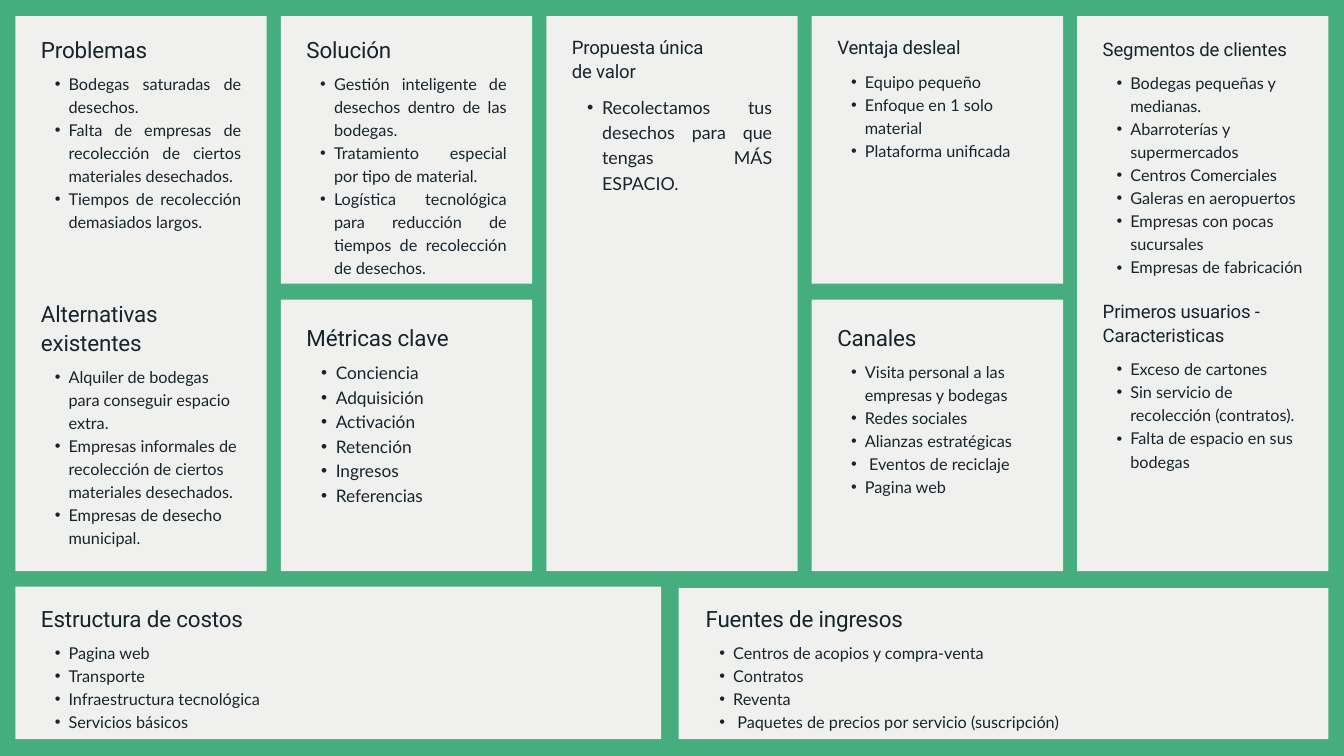
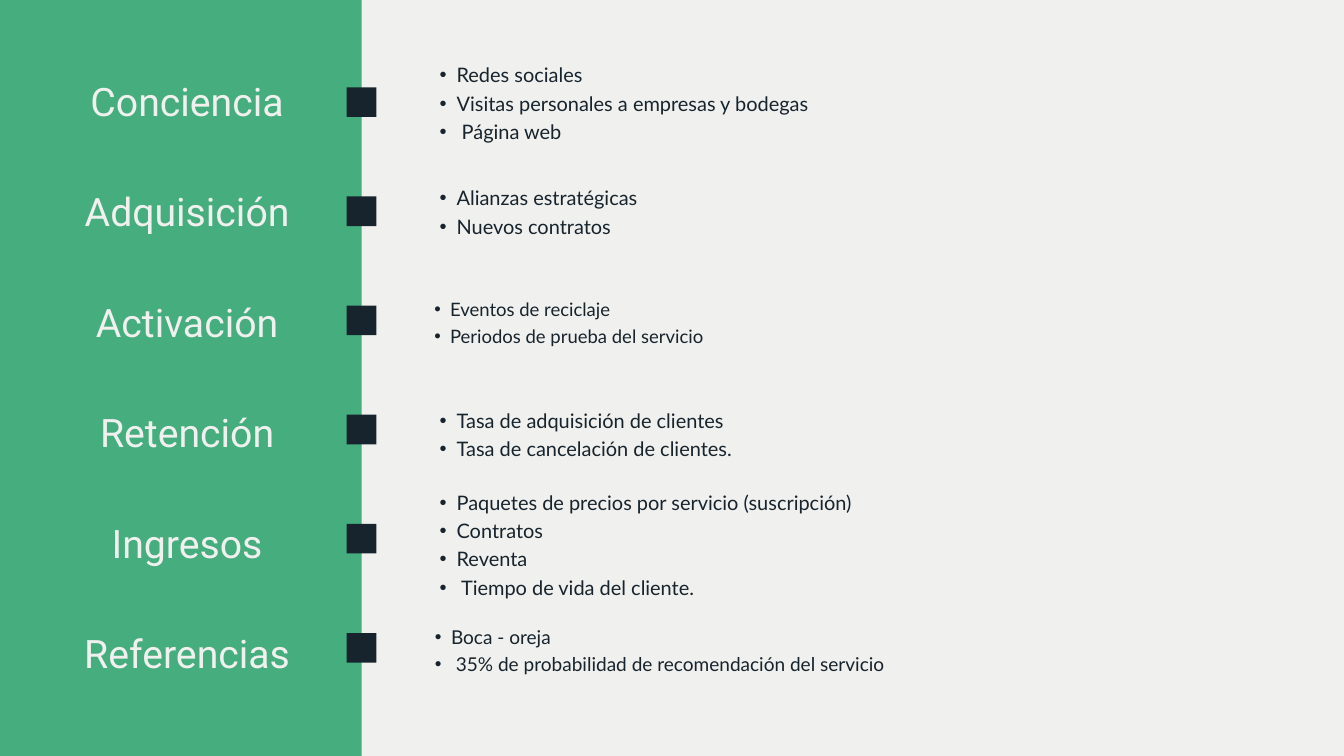
from dataclasses import dataclass

from lxml.etree import SubElement
from pptx import Presentation
from pptx.dml.color import RGBColor
from pptx.enum.shapes import MSO_SHAPE
from pptx.enum.text import MSO_AUTO_SIZE, PP_ALIGN
from pptx.oxml.ns import qn
from pptx.util import Inches, Pt


@dataclass(frozen=True)
class Theme:
    green: RGBColor = RGBColor(0x45, 0xAD, 0x7E)
    paper: RGBColor = RGBColor(0xF0, 0xF0, 0xEE)
    ink: RGBColor = RGBColor(0x17, 0x24, 0x2D)
    heading_font: str = "Roboto"
    body_font: str = "Lato"
    heading: float = 24
    small_heading: float = 19.9
    body: float = 17.4
    stage: float = 42
    stage_body: float = 21.4
    heading_pitch: float = 1.3
    body_pitch: float = 1.42
    stage_pitch: float = 1.2


THEME = Theme()


@dataclass(frozen=True)
class Section:
    top: float  # distance below the panel's top edge
    heading: tuple
    bullets: tuple
    heading_lines: int = 1
    body_lines: int = 4
    heading_size: float = THEME.heading
    body_size: float = THEME.body
    align: PP_ALIGN = PP_ALIGN.LEFT


# Shared building blocks
def set_background(slide, color):
    slide.background.fill.solid()
    slide.background.fill.fore_color.rgb = color


def add_block(slide, box, color):
    shape = slide.shapes.add_shape(MSO_SHAPE.RECTANGLE, *map(Inches, box))
    shape.shadow.inherit = False
    shape.fill.solid()
    shape.fill.fore_color.rgb = color
    shape.line.fill.background()


def add_bullet(paragraph, size):
    paragraph.level = 1
    hanging = Inches(size * 0.0236)
    properties = paragraph._p.get_or_add_pPr()
    properties.set("marL", str(hanging))
    properties.set("indent", str(-hanging // 2))
    SubElement(properties, qn("a:buFont")).set("typeface", "Arial")
    SubElement(properties, qn("a:buChar")).set("char", "•")


def add_text(slide, box, lines, font, size, pitch, color=THEME.ink,
             align=PP_ALIGN.LEFT, bulleted=False, tracking=0):
    text_frame = slide.shapes.add_textbox(*map(Inches, box)).text_frame
    text_frame.word_wrap = True
    text_frame.auto_size = MSO_AUTO_SIZE.SHAPE_TO_FIT_TEXT
    text_frame.margin_left = text_frame.margin_right = 0
    text_frame.margin_top = text_frame.margin_bottom = 0
    text_frame.text = "\n".join(lines)
    for paragraph in text_frame.paragraphs:
        if bulleted:
            add_bullet(paragraph, size)
        paragraph.alignment = align
        paragraph.line_spacing = Pt(round(size * pitch, 1))
        for run in paragraph.runs:
            run.font.name = font
            run.font.size = Pt(size)
            run.font.color.rgb = color
            if tracking:
                run._r.get_or_add_rPr().set("spc", str(tracking))


def add_bullets(slide, box, lines, size, align=PP_ALIGN.LEFT):
    add_text(slide, box, lines, THEME.body_font, size, THEME.body_pitch,
             align=align, bulleted=True)


# Canvas slide
def add_panel(slide, box, sections, inset=0.38):
    left, top, width, _ = box
    add_block(slide, box, THEME.paper)
    text_left, text_width = left + inset, width - 2 * inset
    for section in sections:
        heading_top = top + section.top
        heading_height = (section.heading_lines * section.heading_size
                          * THEME.heading_pitch / 72)
        gap = 0.11 if section.heading_size == THEME.heading else 0.15
        body_height = section.body_lines * section.body_size * THEME.body_pitch / 72
        add_text(slide, (text_left, heading_top, text_width, heading_height),
                 section.heading, THEME.heading_font, section.heading_size,
                 THEME.heading_pitch, tracking=-20)
        add_bullets(slide, (text_left, heading_top + heading_height + gap,
                            text_width, body_height),
                    section.bullets, section.body_size, section.align)


def build_canvas(slide):
    set_background(slide, THEME.green)
    columns = [0.23 + 3.95 * index for index in range(5)]
    width, top, middle = 3.74, 0.24, 4.46
    full, upper, lower = 8.26, 3.98, 4.04
    small, justify = THEME.small_heading, PP_ALIGN.JUSTIFY

    add_panel(slide, (columns[0], top, width, full), [
        Section(0.27, ("Problemas",), (
            "Bodegas saturadas de desechos.",
            "Falta de empresas de recolección de ciertos materiales desechados.",
            "Tiempos de recolección demasiados largos."),
            body_lines=7, align=justify),
        Section(4.19, ("Alternativas existentes",), (
            "Alquiler de bodegas para conseguir espacio extra.",
            "Empresas informales de recolección de ciertos materiales desechados.",
            "Empresas de desecho municipal."),
            heading_lines=2, body_lines=8)])
    add_panel(slide, (columns[1], top, width, upper), [
        Section(0.27, ("Solución",), (
            "Gestión inteligente de desechos dentro de las bodegas.",
            "Tratamiento especial por tipo de material.",
            "Logística tecnológica para reducción de tiempos de recolección de desechos."),
            body_lines=9, align=justify)])
    add_panel(slide, (columns[1], middle, width, lower), [
        Section(0.33, ("Métricas clave",), STAGES, body_lines=6, body_size=18.5)])
    add_panel(slide, (columns[2], top, width, full), [
        Section(0.27, ("Propuesta única", "de valor"), (
            "Recolectamos tus desechos para que tengas MÁS ESPACIO.",),
            heading_lines=2, heading_size=small, body_size=19.1, align=justify)])
    add_panel(slide, (columns[3], top, width, upper), [
        Section(0.27, ("Ventaja desleal",), (
            "Equipo pequeño", "Enfoque en 1 solo material", "Plataforma unificada"),
            heading_size=small)])
    add_panel(slide, (columns[3], middle, width, lower), [
        Section(0.33, ("Canales",), (
            "Visita personal a las empresas y bodegas", "Redes sociales",
            "Alianzas estratégicas", " Eventos de reciclaje", "Pagina web"),
            body_lines=6)])
    add_panel(slide, (columns[4], top, width, full), [
        Section(0.29, ("Segmentos de clientes",), (
            "Bodegas pequeñas y medianas.", "Abarroterías y supermercados",
            "Centros Comerciales", "Galeras en aeropuertos",
            "Empresas con pocas sucursales", "Empresas de fabricación"),
            body_lines=9, heading_size=small),
        Section(4.19, ("Primeros usuarios - Caracteristicas",), (
            "Exceso de cartones", "Sin servicio de recolección (contratos).",
            "Falta de espacio en sus bodegas"),
            heading_lines=2, body_lines=5, heading_size=small)])

    # Bottom row: costs and income
    add_panel(slide, (0.23, 8.73, 9.61, 2.27), [
        Section(0.24, ("Estructura de costos",), (
            "Pagina web", "Transporte", "Infraestructura tecnológica",
            "Servicios básicos"))])
    add_panel(slide, (10.1, 8.75, 9.67, 2.25), [
        Section(0.22, ("Fuentes de ingresos",), (
            "Centros de acopios y compra-venta", "Contratos", "Reventa",
            " Paquetes de precios por servicio (suscripción)"))], inset=0.4)


# Funnel slide
STAGES = ("Conciencia", "Adquisición", "Activación",
          "Retención", "Ingresos", "Referencias")

# Left, top and text size of each stage's list, then its lines
STAGE_LISTS = (
    (6.29, 0.87, THEME.stage_body, (
        "Redes sociales", "Visitas personales a empresas y bodegas", " Página web")),
    (6.29, 2.7, THEME.stage_body, ("Alianzas estratégicas", "Nuevos contratos")),
    (6.23, 4.38, 19.8, ("Eventos de reciclaje", "Periodos de prueba del servicio")),
    (6.29, 6.01, THEME.stage_body, (
        "Tasa de adquisición de clientes", "Tasa de cancelación de clientes.")),
    (6.29, 7.23, THEME.stage_body, (
        "Paquetes de precios por servicio (suscripción)", "Contratos", "Reventa",
        " Tiempo de vida del cliente.")),
    (6.23, 9.24, 20.4, (
        "Boca - oreja", " 35% de probabilidad de recomendación del servicio")),
)


def add_stage_band(slide, box):
    left, top, width, _ = box
    add_block(slide, box, THEME.green)
    marker = 0.44
    label_pitch, marker_pitch = 8.22 / 5, 8.12 / 5
    for index, stage in enumerate(STAGES):
        add_text(slide, (left + 1.12, top + 1.15 + index * label_pitch, 3.33, 0.71),
                 (stage,), THEME.heading_font, THEME.stage, THEME.stage_pitch,
                 THEME.paper, PP_ALIGN.CENTER)
        add_block(slide, (left + width - marker / 2,
                          top + 1.3 + index * marker_pitch, marker, marker), THEME.ink)


def build_funnel(slide):
    set_background(slide, THEME.paper)
    add_stage_band(slide, (0, 0, 5.38, 11.25))
    for left, top, size, lines in STAGE_LISTS:
        height = len(lines) * size * THEME.body_pitch / 72
        add_bullets(slide, (left, top, 12.58, height), lines, size)


def main():
    presentation = Presentation()
    presentation.slide_width = Inches(20)
    presentation.slide_height = Inches(11.25)
    blank_layout = presentation.slide_layouts[6]
    for build in (build_canvas, build_funnel):
        build(presentation.slides.add_slide(blank_layout))
    presentation.save("out.pptx")


if __name__ == "__main__":
    main()
